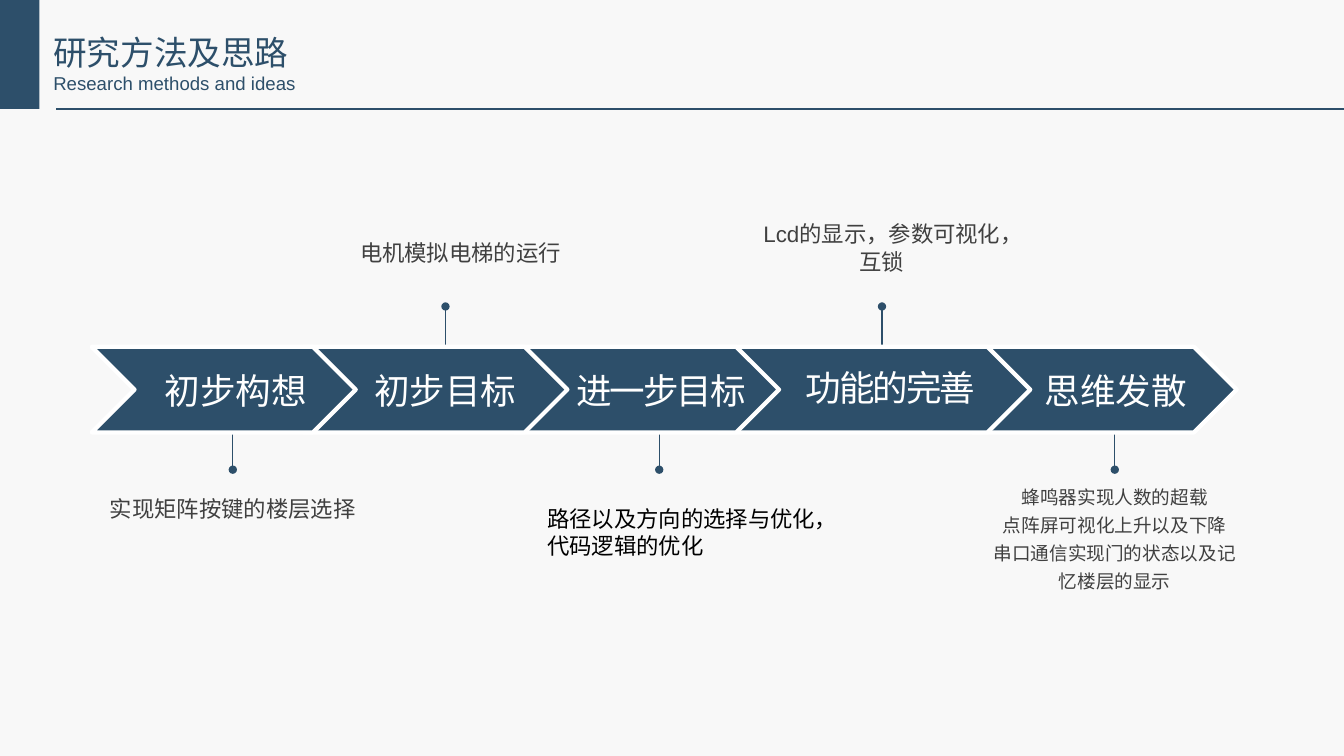
from lxml import etree
from pptx import Presentation
from pptx.dml.color import RGBColor
from pptx.enum.shapes import MSO_CONNECTOR, MSO_SHAPE
from pptx.enum.text import PP_ALIGN
from pptx.oxml.ns import qn
from pptx.util import Pt

RECTANGLE = MSO_SHAPE.RECTANGLE
CHEVRON = MSO_SHAPE.CHEVRON
STRAIGHT = MSO_CONNECTOR.STRAIGHT
LEFT, CENTER = PP_ALIGN.LEFT, PP_ALIGN.CENTER

NAVY = RGBColor(0x2D, 0x4F, 0x6A)
WHITE = RGBColor(0xFF, 0xFF, 0xFF)
GRAY = RGBColor(0x40, 0x40, 0x40)
BLACK = RGBColor(0x00, 0x00, 0x00)
BACKGROUND = RGBColor(0xF8, 0xF8, 0xF8)

CHEVRON_TOP, CHEVRON_HEIGHT = 247.7, 61.2

# Stage: chevron left, chevron width
CHEVRONS = [(65.5, 188.6), (216.7, 188.6), (367.9, 188.6), (513.4, 222.5), (694.8, 188.6)]

# Label: text, left, top, width, letter spacing
LABELS = [
    ("初步构想", 99.4, 260, 138.2, 0),
    ("初步目标", 249.1, 260, 138.2, 0),
    ("进一步目标", 403.2, 260, 138.2, -1.5),
    ("功能的完善", 552.2, 257.8, 167.8, -1.5),
    ("思维发散", 727.9, 260, 138.2, 0),
]

# Pin: x, start y, end y
PINS = [
    (166.3, 302.4, 335.5),
    (318.2, 256.3, 218.9),
    (470.9, 302.4, 335.5),
    (630, 256.3, 218.9),
    (796.3, 302.4, 335.5),
]

# Note: lines, left, top, width, height, size, colour, alignment, line spacing
NOTES = [
    (["实现矩阵按键的楼层选择"], 69.1, 349.2, 194.4, 25.9, 16, GRAY, CENTER, 20),
    (["电机模拟电梯的运行"], 231.8, 166.3, 194.4, 25.9, 16, GRAY, CENTER, 20),
    (["路径以及方向的选择与优化，", "代码逻辑的优化"],
     383.8, 357.1, 218.2, 46.1, 16, BLACK, LEFT, None),
    (["Lcd的显示，参数可视化，互锁"], 532.8, 152.6, 194.4, 46.1, 16, GRAY, CENTER, 20),
    (["蜂鸣器实现人数的超载", "点阵屏可视化上升以及下降", "串口通信实现门的状态以及记忆楼层的显示"],
     699.1, 339.8, 194.4, 86.4, 13.3, GRAY, CENTER, 20),
]


def add_text(slide, lines, left, top, width, height, sizes, color,
             alignment=LEFT, line_spacing=None, letter_spacing=0):
    """Place one paragraph per line, each with its own size."""
    box = slide.shapes.add_textbox(Pt(left), Pt(top), Pt(width), Pt(height))
    frame = box.text_frame
    frame.word_wrap = True
    frame.text = "\n".join(lines)
    for paragraph, size in zip(frame.paragraphs, sizes):
        paragraph.alignment = alignment
        if line_spacing:
            paragraph.line_spacing = Pt(line_spacing)
        paragraph.font.name = "Arial"
        paragraph.font.size = Pt(size)
        paragraph.font.color.rgb = color
        if letter_spacing:
            for run in paragraph.runs:
                run.font._element.set("spc", str(round(letter_spacing * 100)))


def add_block(slide, kind, left, top, width, height, outline=None):
    shape = slide.shapes.add_shape(kind, Pt(left), Pt(top), Pt(width), Pt(height))
    shape.shadow.inherit = False
    shape.fill.solid()
    shape.fill.fore_color.rgb = NAVY
    if outline is None:
        shape.line.fill.background()
    else:
        shape.line.color.rgb = outline
        shape.line.width = Pt(3)


def add_line(slide, start_x, start_y, end_x, end_y, dot=False):
    line = slide.shapes.add_connector(STRAIGHT, Pt(start_x), Pt(start_y), Pt(end_x), Pt(end_y))
    line.line.color.rgb = NAVY
    line.line.width = Pt(1)
    properties = line._element.spPr
    if dot:
        etree.SubElement(properties.find(qn("a:ln")), qn("a:tailEnd"), type="oval")
    etree.SubElement(properties, qn("a:effectLst"))


def main():
    presentation = Presentation()
    presentation.slide_width, presentation.slide_height = Pt(960), Pt(540)
    slide = presentation.slides.add_slide(presentation.slide_layouts[6])
    slide.background.fill.solid()
    slide.background.fill.fore_color.rgb = BACKGROUND

    # Header
    add_text(slide, ["研究方法及思路", "Research methods and ideas"],
             31, 19.4, 206.6, 52.6, [24, 13.3], NAVY)
    add_line(slide, 40.3, 77.8, 960, 77.8)
    add_block(slide, RECTANGLE, 0, 0, 28.1, 77.8)

    # Pins behind the chevrons
    for x, start_y, end_y in PINS:
        add_line(slide, x, start_y, x, end_y, dot=True)

    # Chevrons, each stage lying over the next
    for left, width in reversed(CHEVRONS):
        add_block(slide, CHEVRON, left, CHEVRON_TOP, width, CHEVRON_HEIGHT, WHITE)

    # Stage labels
    for text, left, top, width, letter_spacing in LABELS:
        add_text(slide, [text], left, top, width, 38.2, [25.4], WHITE, CENTER,
                 letter_spacing=letter_spacing)

    # Notes
    for lines, left, top, width, height, size, color, alignment, line_spacing in NOTES:
        add_text(slide, lines, left, top, width, height, [size] * len(lines), color,
                 alignment, line_spacing)

    presentation.save("out.pptx")


if __name__ == "__main__":
    main()
